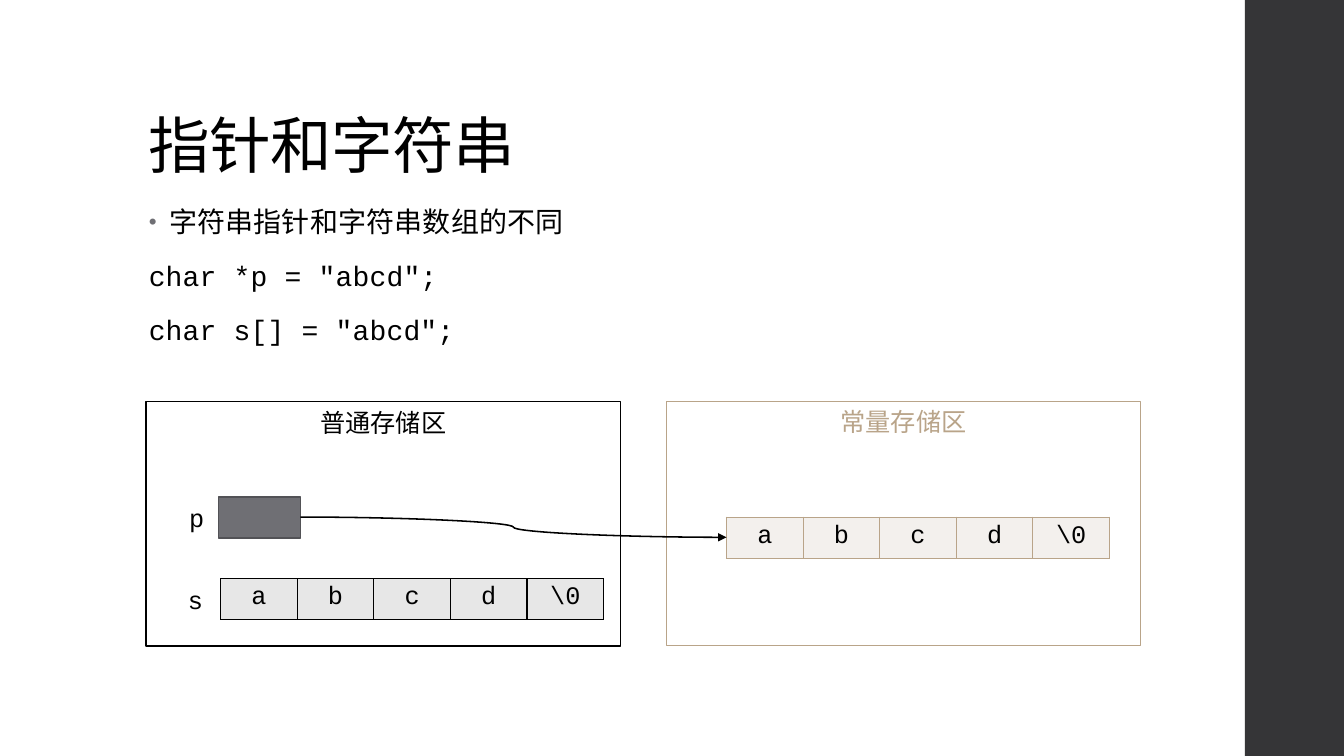
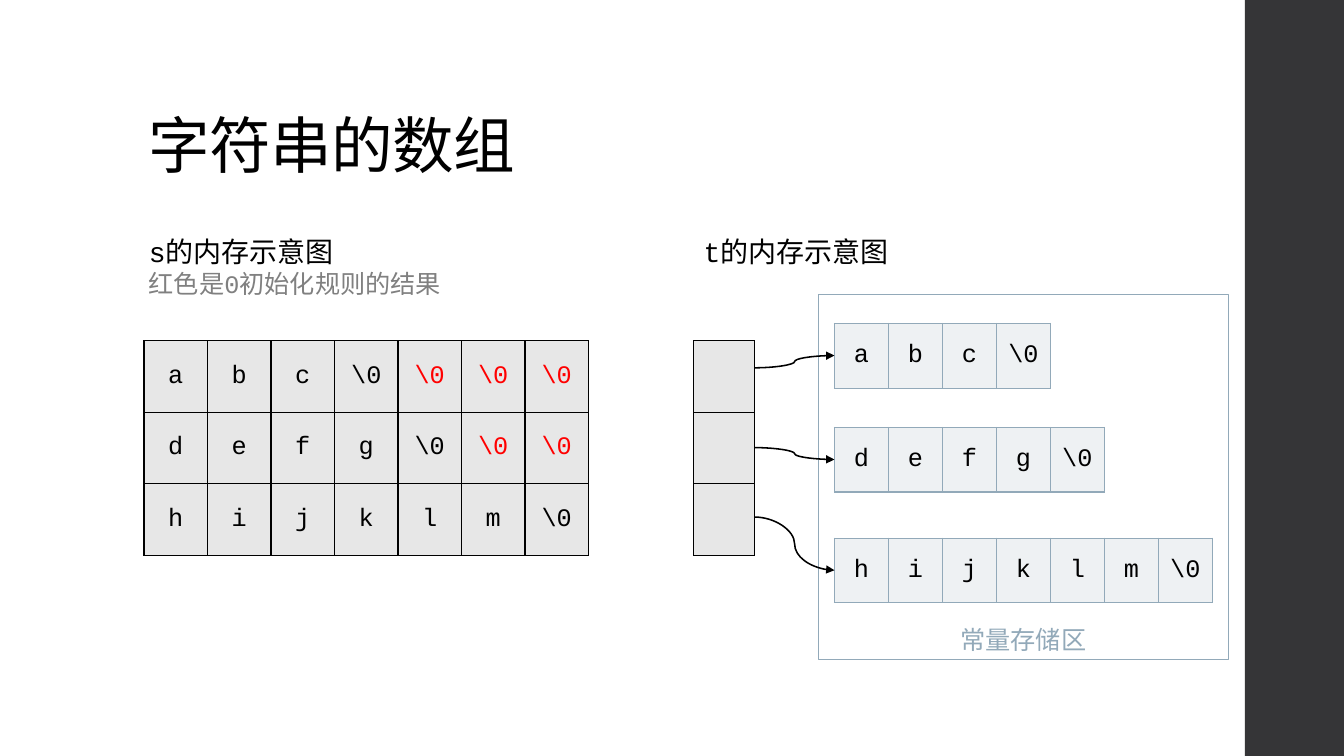
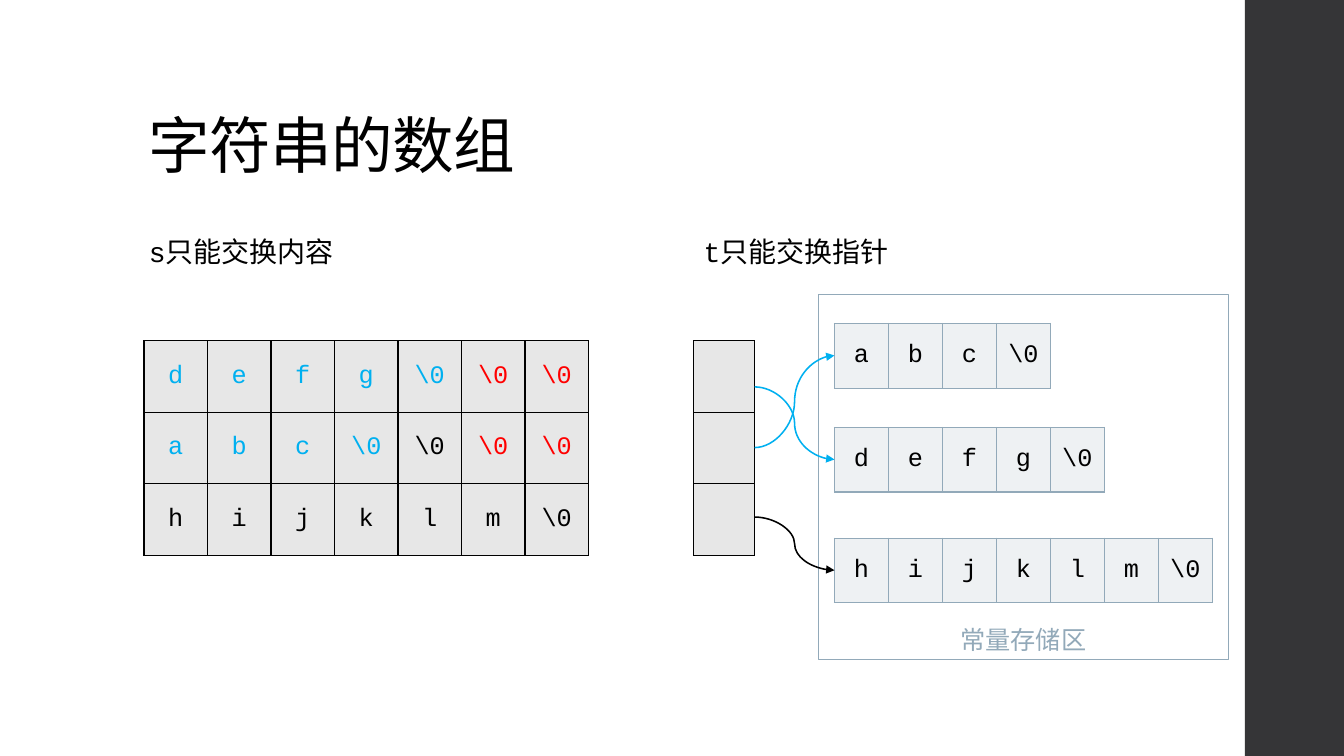
from lxml.etree import SubElement
from pptx import Presentation
from pptx.dml.color import RGBColor
from pptx.enum.shapes import MSO_CONNECTOR, MSO_SHAPE
from pptx.enum.text import MSO_ANCHOR as Anchor, MSO_AUTO_SIZE as AutoSize, PP_ALIGN as Align
from pptx.oxml import parse_xml
from pptx.oxml.ns import nsdecls, qn
from pptx.util import Cm, Pt

BLACK = RGBColor(0x00, 0x00, 0x00)
RED = RGBColor(0xFF, 0x00, 0x00)
BLUE = RGBColor(0x00, 0xB0, 0xF0)
GREY = RGBColor(0x80, 0x80, 0x80)
BAND = RGBColor(0x35, 0x35, 0x37)
SLATE = RGBColor(0x6F, 0x6F, 0x74)
SLATE_EDGE = RGBColor(0x52, 0x52, 0x56)
CELL = RGBColor(0xE7, 0xE7, 0xE7)
SAND = RGBColor(0xB9, 0xA4, 0x89)
SAND_CELL = RGBColor(0xF3, 0xF0, 0xED)
STEEL = RGBColor(0x92, 0xA9, 0xB9)
STEEL_CELL = RGBColor(0xEE, 0xF1, 0xF3)

SERIF, MONO = "TeX Gyre Schola", "Courier New"
TINTS = {"k": BLACK, "r": RED, "b": BLUE}
WIDTH, HEIGHT = 33.87, 19.05
BAND_LEFT = 31.37
TEXT_LEFT = 3.5

# Strings of the array example and where they lie in memory
STRINGS = ("abc", "defg", "hijklm")
STRING_TOPS = (8.15, 10.77, 13.56)
STRING_LEFT, STRING_MIDDLE = 21.03, 0.81
POINTER_LEFT, POINTER_RIGHT = 17.48, 19.02
ARRAY_TOP, ARRAY_ROW = 8.59, 1.8


def chars(word, size=0):
    """Characters of a C string, filled up with terminators."""
    size = max(size, len(word) + 1)
    return list(word) + [r"\0"] * (size - len(word))


class Deck:
    """Shared style and the slide being drawn."""

    def __init__(self):
        self.prs = Presentation()
        self.prs.slide_width, self.prs.slide_height = Cm(WIDTH), Cm(HEIGHT)
        self.slide = None

    def new_slide(self, heading):
        self.slide = self.prs.slides.add_slide(self.prs.slide_layouts[5])
        self.box(BAND_LEFT, 0, WIDTH - BAND_LEFT, HEIGHT, fill=BAND)
        title = self.slide.shapes.title
        title.left, title.top, title.width, title.height = map(Cm, (TEXT_LEFT, 1.02, 26.92, 3.68))
        frame = title.text_frame
        frame.text = heading
        frame.vertical_anchor, frame.auto_size = Anchor.BOTTOM, AutoSize.NONE
        self.format(frame.paragraphs[0], SERIF, 44, align=Align.LEFT)
        frame.paragraphs[0].line_spacing = 0.9
        self.track(title, -50)

    def format(self, paragraph, name, size, color=BLACK, align=Align.CENTER):
        paragraph.alignment = align
        font = paragraph.font
        font.name, font.size, font.color.rgb = name, Pt(size), color

    def track(self, shape, spacing):
        """Letter spacing in hundredths of a point."""
        for props in shape.element.iter(qn("a:defRPr")):
            props.set("spc", str(spacing))

    def box(self, left, top, width, height, fill=None, line=None, weight=0.75,
            label=None, anchor=Anchor.TOP):
        box = self.slide.shapes.add_shape(
            MSO_SHAPE.RECTANGLE, Cm(left), Cm(top), Cm(width), Cm(height))
        box.shadow.inherit = False
        if fill is None:
            box.fill.background()
        else:
            box.fill.solid()
            box.fill.fore_color.rgb = fill
        if line is None:
            box.line.fill.background()
        else:
            box.line.color.rgb, box.line.width = line, Pt(weight)
        if label:
            box.text_frame.text = label
            box.text_frame.vertical_anchor = anchor
            self.format(box.text_frame.paragraphs[0], SERIF, 18, line)

    def text(self, left, top, width, height, lines, align=Align.LEFT, anchor=Anchor.TOP,
             fit=AutoSize.NONE):
        """Lines are (text, size, colour)."""
        area = self.slide.shapes.add_textbox(Cm(left), Cm(top), Cm(width), Cm(height))
        frame = area.text_frame
        frame.word_wrap, frame.vertical_anchor, frame.auto_size = True, anchor, fit
        frame.text = "\n".join(words for words, _, _ in lines)
        for paragraph, (_, size, color) in zip(frame.paragraphs, lines):
            self.format(paragraph, MONO, size, color, align)
        return area

    def code_body(self, lines):
        """A bulleted statement followed by lines of code."""
        body = self.text(TEXT_LEFT, 5.08, 23.88, 12.09, [(line, 20, BLACK) for line in lines])
        for paragraph in body.text_frame.paragraphs:
            paragraph.line_spacing = 0.95
            paragraph.space_before, paragraph.space_after = Pt(14), Pt(2)
        self.track(body, 10)
        props = next(body.element.iter(qn("a:pPr")))
        props.set("marL", str(Cm(0.51)))
        props.set("indent", str(-Cm(0.51)))
        run_props = props.find(qn("a:defRPr"))
        for part in (f'<a:buClr {nsdecls("a")}><a:srgbClr val="{SLATE}"/></a:buClr>',
                     f'<a:buSzPct {nsdecls("a")} val="80000"/>',
                     f'<a:buFont {nsdecls("a")} typeface="Arial"/>',
                     f'<a:buChar {nsdecls("a")} char="•"/>'):
            run_props.addprevious(parse_xml(part))

    def cells(self, left, top, width, height, rows, tints=None, fill=CELL, edge=BLACK,
              anchor=Anchor.MIDDLE):
        """A grid of equal cells; tints has one letter per cell."""
        count = len(rows[0])
        table = self.slide.shapes.add_table(
            len(rows), count, Cm(left), Cm(top), Cm(width * count), Cm(height * len(rows))).table
        table.first_row = table.horz_banding = False
        for column in table.columns:
            column.width = Cm(width)
        for r, row in enumerate(rows):
            table.rows[r].height = Cm(height)
            for c, symbol in enumerate(row):
                cell = table.cell(r, c)
                cell.vertical_anchor = anchor
                self.borders(cell, edge)
                cell.fill.solid()
                cell.fill.fore_color.rgb = fill
                cell.text = symbol
                color = TINTS[tints[r][c]] if tints else BLACK
                self.format(cell.text_frame.paragraphs[0], MONO, 18, color)

    def borders(self, cell, color):
        props = cell._tc.get_or_add_tcPr()
        for side in ("lnL", "lnR", "lnT", "lnB"):
            line = SubElement(props, qn(f"a:{side}"), w=str(Pt(1)))
            solid = SubElement(line, qn("a:solidFill"))
            SubElement(solid, qn("a:srgbClr"), val=str(color))

    def arrow(self, x1, y1, x2, y2, color=BLACK):
        arrow = self.slide.shapes.add_connector(
            MSO_CONNECTOR.CURVE, Cm(x1), Cm(y1), Cm(x2), Cm(y2))
        arrow.line.color.rgb, arrow.line.width = color, Pt(1.1)
        props = arrow.element.spPr
        SubElement(props.find(qn("a:ln")), qn("a:tailEnd"), type="triangle")
        SubElement(props, qn("a:effectLst"))

    def array_slide(self, array_lines, pointer_line, rows, tints, links):
        """Array s beside pointer array t; links are (start y, string index, colour)."""
        self.new_slide("字符串的数组")
        # Array of characters
        self.text(TEXT_LEFT, 5.79, 9.55, 1.12 if len(array_lines) == 1 else 1.88,
                  array_lines, fit=AutoSize.SHAPE_TO_FIT_TEXT)
        self.cells(3.63, ARRAY_TOP, 1.6, ARRAY_ROW, rows, tints)
        # Array of pointers into the constant area
        self.box(20.62, 7.42, 10.34, 9.19, line=STEEL, label="常量存储区", anchor=Anchor.BOTTOM)
        self.text(POINTER_LEFT, 5.79, 9.55, 1.12, [(pointer_line, 20, BLACK)],
                  fit=AutoSize.SHAPE_TO_FIT_TEXT)
        self.cells(POINTER_LEFT, ARRAY_TOP, 1.54, ARRAY_ROW, [[""]] * len(STRINGS))
        for word, top in zip(STRINGS, STRING_TOPS):
            self.cells(STRING_LEFT, top, 1.36, 1.63, [chars(word)], fill=STEEL_CELL, edge=STEEL)
        for start, target, color in links:
            self.arrow(POINTER_RIGHT, start, STRING_LEFT,
                       STRING_TOPS[target] + STRING_MIDDLE, color)


def main():
    deck = Deck()

    # Slide 1: string pointer and character array
    deck.new_slide("指针和字符串")
    deck.code_body(["字符串指针和字符串数组的不同", 'char *p = "abcd";', 'char s[] = "abcd";'])
    deck.box(16.79, 10.11, 11.96, 6.15, line=SAND, label="常量存储区")
    deck.box(3.68, 10.13, 11.96, 6.15, line=BLACK, label="普通存储区")
    for left, top, fill, edge in ((18.31, 13.03, SAND_CELL, SAND), (5.56, 14.58, CELL, BLACK)):
        deck.cells(left, top, 1.93, 1.04, [chars("abcd")], fill=fill, edge=edge, anchor=Anchor.TOP)
    for variable, left, top in (("s", 4.29, 14.58), ("p", 4.32, 12.52)):
        deck.text(left, top, 1.27, 1.04, [(variable, 18, BLACK)], Align.CENTER, Anchor.MIDDLE)
    deck.box(5.51, 12.52, 2.06, 1.04, fill=SLATE, line=SLATE_EDGE, weight=1.1)
    deck.arrow(7.57, 13.03, 18.31, 13.54)

    # Slide 2: memory layout of both arrays
    first, second, third = (chars(word, 7) for word in STRINGS)
    deck.array_slide(
        [("s的内存示意图", 20, BLACK), ("红色是0初始化规则的结果", 18, GREY)], "t的内存示意图",
        [first, second, third], ["kkkkrrr", "kkkkkrr", "kkkkkkk"],
        [(9.27, 0, BLACK), (11.28, 1, BLACK), (13.03, 2, BLACK)])

    # Slide 3: swapping the first two strings
    deck.array_slide(
        [("s只能交换内容", 20, BLACK)], "t只能交换指针",
        [second, first, third], ["bbbbbrr", "bbbbkrr", "kkkkkkk"],
        [(11.28, 0, BLUE), (9.75, 1, BLUE), (13.03, 2, BLACK)])

    deck.prs.save("out.pptx")


if __name__ == "__main__":
    main()
